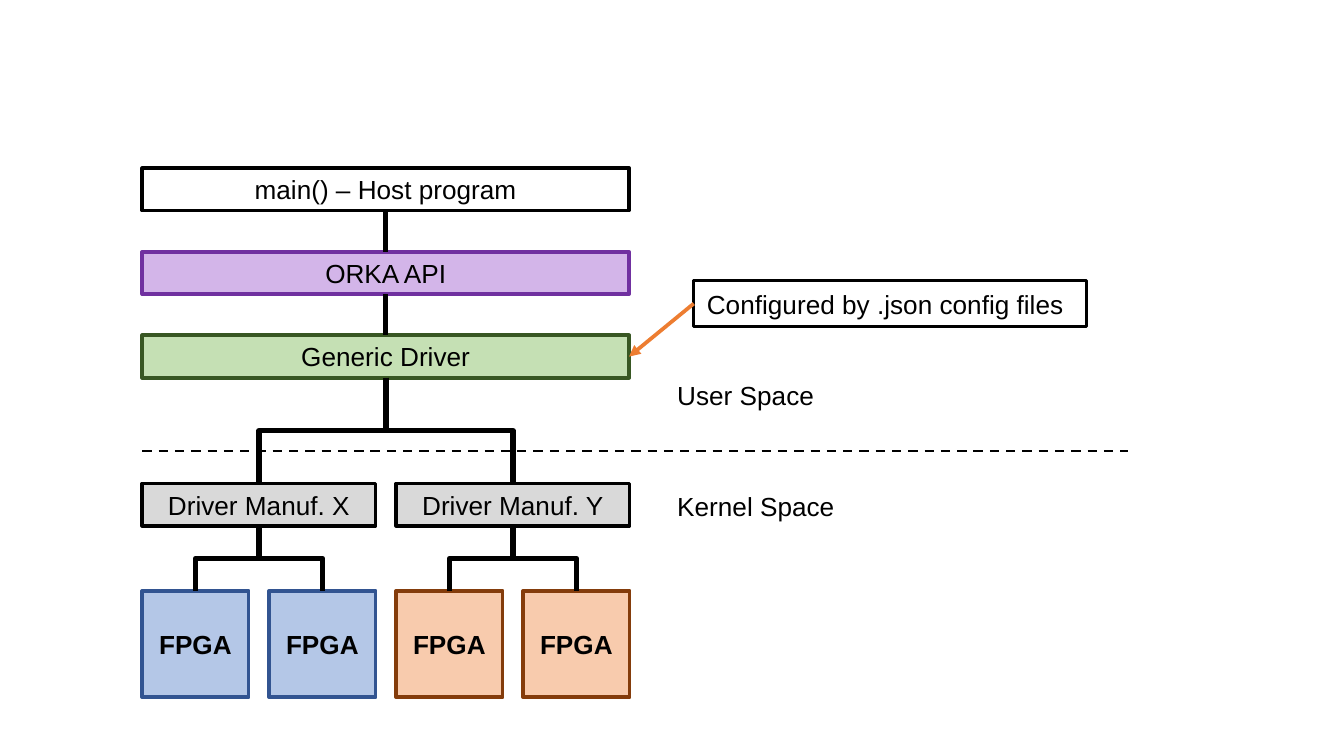
"""Draw the layered FPGA driver stack with its user and kernel space split."""
from dataclasses import dataclass

from lxml.etree import SubElement
from pptx import Presentation
from pptx.dml.color import RGBColor as Rgb
from pptx.enum.dml import MSO_LINE_DASH_STYLE as Dash
from pptx.enum.shapes import MSO_AUTO_SHAPE_TYPE as Shape, MSO_CONNECTOR_TYPE as Link
from pptx.enum.text import MSO_AUTO_SIZE as Fit, MSO_VERTICAL_ANCHOR as Anchor, PP_PARAGRAPH_ALIGNMENT as Align
from pptx.oxml.ns import qn
from pptx.util import Cm, Pt


@dataclass(frozen=True)
class Theme:
    """Colours as (fill, line) pairs, and type and line sizes."""
    font: str = "Arial"
    text_size: float = 14
    border: float = 2
    thin: float = 1.5
    divider: float = 1.25
    link: float = 3
    ink: str = "000000"
    arrow: str = "ED7D31"
    host: tuple = ("FFFFFF", "000000")
    api: tuple = ("D3B5E9", "7030A0")
    generic: tuple = ("C5E0B4", "385723")
    driver: tuple = ("D9D9D9", "000000")
    note: tuple = (None, "000000")
    card_x: tuple = ("B4C7E7", "325491")
    card_y: tuple = ("F8CBAD", "843C0B")


THEME = Theme()
LEFT, ROW = 2.69, 0.8
STACK_WIDTH, STACK_TOP, STACK_PITCH = 9.2, 3.18, 1.58
DRIVER_WIDTH, DRIVER_TOP, DRIVER_PITCH = 4.41, 9.14, 4.8
CARD_SIZE, CARD_TOP, CARD_PITCH = 2.01, 11.17, 2.4
CENTRED = {"alignment": Align.CENTER}


def apply(target, values):
    """Set each named attribute of the target."""
    for name, value in values.items():
        setattr(target, name, value)


def write(box, text, frame_format, para_format, bold=None):
    """Put one formatted line of text into a box."""
    apply(box.text_frame, frame_format)
    para = box.text_frame.paragraphs[0]
    apply(para, para_format)
    span = para.add_run()
    span.text = text
    apply(span.font, {"name": THEME.font, "size": Pt(THEME.text_size), "bold": bold})
    span.font.color.rgb = Rgb.from_string(THEME.ink)


def stroke(line, colour, width, dash=None):
    """Colour a line and set its width and dash."""
    line.color.rgb = Rgb.from_string(colour)
    apply(line, {"width": Pt(width), "dash_style": dash})


def add_box(page, text, place, colours, width=THEME.border, para_format=CENTRED, bold=None):
    """Add a bordered rectangle with text."""
    box = page.shapes.add_shape(Shape.RECTANGLE, *map(Cm, place))
    box.shadow.inherit = False
    fill, border = colours
    if fill:
        box.fill.solid()
        box.fill.fore_color.rgb = Rgb.from_string(fill)
    else:
        box.fill.background()
    stroke(box.line, border, width)
    write(box, text, {"word_wrap": True, "vertical_anchor": Anchor.MIDDLE}, para_format, bold)
    return box


def add_label(page, text, place):
    """Add a plain unwrapped label."""
    box = page.shapes.add_textbox(*map(Cm, place))
    write(box, text, {"word_wrap": False, "auto_size": Fit.SHAPE_TO_FIT_TEXT}, {})


def add_line(page, ends, colour, width, dash=None, kind=Link.STRAIGHT):
    """Add a connector without shadow."""
    line = page.shapes.add_connector(kind, *map(int, ends))
    stroke(line.line, colour, width, dash)
    SubElement(line._element.spPr, qn("a:effectLst"))
    return line


def add_arrow(page, ends):
    """Add a line with a triangle at its end."""
    line = add_line(page, ends, THEME.arrow, THEME.border)
    SubElement(line.line._get_or_add_ln(), qn("a:tailEnd"), type="triangle")


def join(page, parent, child):
    """Link the bottom of a parent to the top of a child, bending if needed."""
    start_x, start_y = parent.left + parent.width / 2, parent.top + parent.height
    end_x, end_y = child.left + child.width / 2, child.top
    if abs(end_x - start_x) < Cm(0.1):
        add_line(page, (start_x, start_y, start_x, end_y), THEME.ink, THEME.link)
        return
    side = 1 if end_x > start_x else -1
    middle_x, middle_y = (start_x + end_x) / 2, (start_y + end_y) / 2
    reach, spread = side * (end_y - start_y) / 2, abs(end_x - start_x) / 2
    ends = (middle_x + reach, middle_y - spread, middle_x - reach, middle_y + spread)
    elbow = add_line(page, ends, THEME.ink, THEME.link, kind=Link.ELBOW)
    elbow.rotation = 180 + side * 90


def add_stack(page):
    """Add the full-width layers and return the lowest."""
    layers = [("main() – Host program", THEME.host), ("ORKA API", THEME.api),
              ("Generic Driver", THEME.generic)]
    boxes = [add_box(page, text, (LEFT, STACK_TOP + i * STACK_PITCH, STACK_WIDTH, ROW), colours)
             for i, (text, colours) in enumerate(layers)]
    for upper, lower in zip(boxes, boxes[1:]):
        join(page, upper, lower)
    return boxes[-1]


def add_drivers(page, generic):
    """Add each manufacturer driver with its two cards."""
    for i, (maker, colours) in enumerate([("X", THEME.card_x), ("Y", THEME.card_y)]):
        left = LEFT + i * DRIVER_PITCH
        driver = add_box(page, f"Driver Manuf. {maker}", (left, DRIVER_TOP, DRIVER_WIDTH, ROW), THEME.driver)
        join(page, generic, driver)
        for j in range(2):
            place = (left + j * CARD_PITCH, CARD_TOP, CARD_SIZE, CARD_SIZE)
            join(page, driver, add_box(page, "FPGA", place, colours, bold=True))


def main():
    """Build and save the deck."""
    deck = Presentation()
    apply(deck, {"slide_width": Cm(25.4), "slide_height": Cm(14.29)})
    page = deck.slides.add_slide(deck.slide_layouts[6])
    generic = add_stack(page)
    add_drivers(page, generic)
    add_line(page, map(Cm, (LEFT, 8.53, 21.31, 8.53)), THEME.ink, THEME.divider, Dash.DASH)
    add_label(page, "User Space", (12.55, 7.04, 3.12, 0.86))
    add_label(page, "Kernel Space", (12.55, 9.14, 3.51, 0.86))
    note = add_box(page, "Configured by .json config files", (13.11, 5.31, 7.42, 0.86),
                   THEME.note, THEME.thin, {"alignment": Align.LEFT})
    add_arrow(page, (note.left, note.top + note.height / 2,
                     generic.left + generic.width, generic.top + generic.height / 2))
    deck.save("out.pptx")


if __name__ == "__main__":
    main()
